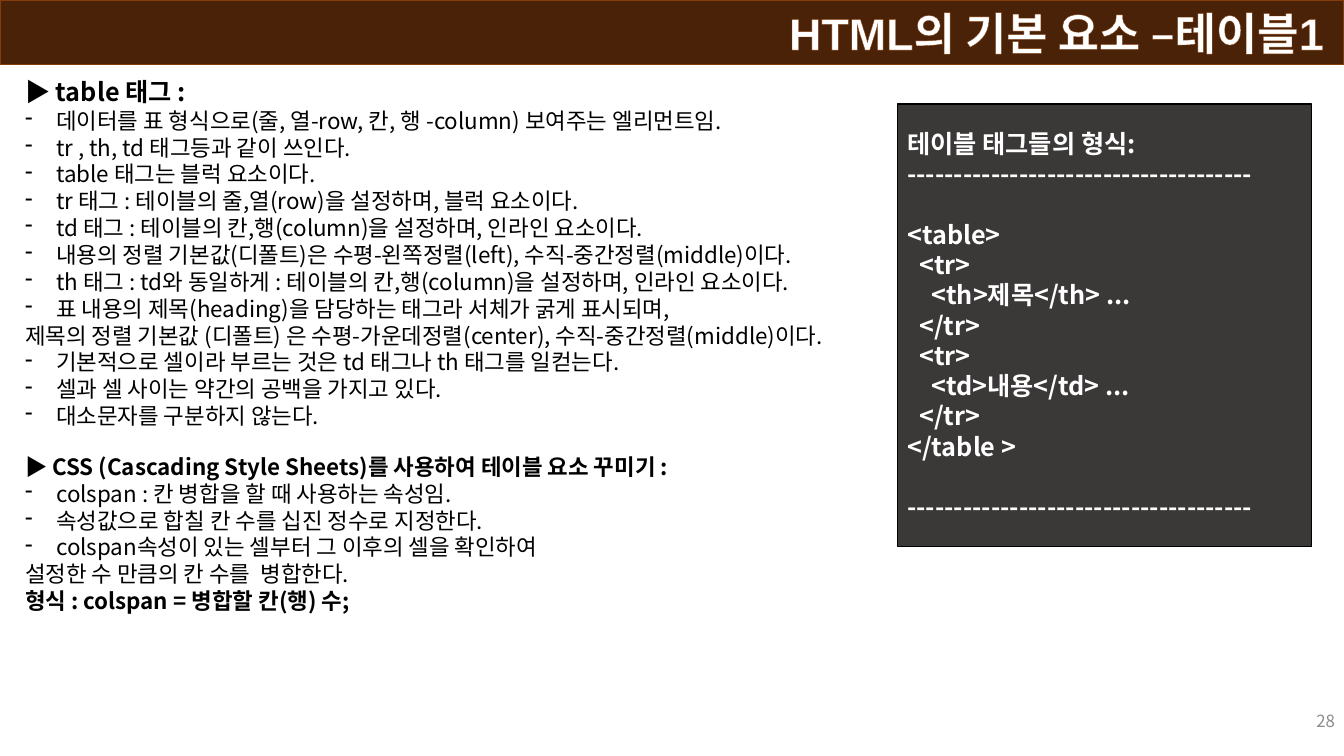
from lxml import etree
from pptx import Presentation
from pptx.dml.color import RGBColor
from pptx.enum.shapes import MSO_SHAPE
from pptx.enum.text import MSO_ANCHOR, MSO_AUTO_SIZE, PP_ALIGN
from pptx.oxml.ns import qn
from pptx.util import Inches, Pt

RECT = MSO_SHAPE.RECTANGLE
TOP, MID = MSO_ANCHOR.TOP, MSO_ANCHOR.MIDDLE
LEFT, RIGHT = PP_ALIGN.LEFT, PP_ALIGN.RIGHT
FIXED = MSO_AUTO_SIZE.NONE
SANS = "Noto Sans CJK KR"
COLORS = {"bar": "492207", "edge": "843C0B", "panel": "3B3838",
          "white": "FFFFFF", "black": "000000", "gray": "8C8C8C"}

TAGS = [
    "데이터를 표 형식으로(줄, 열-row, 칸, 행 -column) 보여주는 엘리먼트임.",
    "tr , th, td 태그등과 같이 쓰인다.",
    "table 태그는 블럭 요소이다.",
    "tr 태그 : 테이블의 줄,열(row)을 설정하며, 블럭 요소이다.",
    "td 태그 : 테이블의 칸,행(column)을 설정하며, 인라인 요소이다.",
    "내용의 정렬 기본값(디폴트)은 수평-왼쪽정렬(left), 수직-중간정렬(middle)이다.",
    "th 태그 : td와 동일하게 : 테이블의 칸,행(column)을 설정하며, 인라인 요소이다.",
    "표 내용의 제목(heading)을 담당하는 태그라 서체가 굵게 표시되며,",
]
CELLS = [
    "기본적으로 셀이라 부르는 것은 td 태그나 th 태그를 일컫는다.",
    "셀과 셀 사이는 약간의 공백을 가지고 있다.",
    "대소문자를 구분하지 않는다.",
]
SPANS = [
    "colspan : 칸 병합을 할 때 사용하는 속성임.",
    "속성값으로 합칠 칸 수를 십진 정수로 지정한다.",
    "colspan속성이 있는 셀부터 그 이후의 셀을 확인하여",
]


def bullets(texts):
    return [("item", text) for text in texts]


# Kind and text of each line in the notes
NOTES = [
    ("head", "▶ table 태그 :"), *bullets(TAGS),
    ("plain", "제목의 정렬 기본값 (디폴트) 은 수평-가운데정렬(center), 수직-중간정렬(middle)이다."),
    *bullets(CELLS),
    ("sub", "▶ CSS (Cascading Style Sheets)를 사용하여 테이블 요소 꾸미기 :"),
    *bullets(SPANS),
    ("plain", "설정한 수 만큼의 칸 수를  병합한다."),
    ("bold", "형식 : colspan = 병합할 칸(행) 수;"),
]
RULE = "-" * 37
# Depth, space before in points, and text of each line of code
CODE = [
    (0, 0, "테이블 태그들의 형식:"), (0, 0, RULE),
    (0, 21.6, "<table>"),
    (1, 0, "<tr>"), (2, 0, "<th>제목</th> ..."), (1, 0, "</tr>"),
    (1, 0, "<tr>"), (2, 0, "<td>내용</td> ..."), (1, 0, "</tr>"),
    (0, 0, "</table >"), (0, 21.6, RULE),
]


def rgb(name):
    return RGBColor.from_string(COLORS[name])


def place(shape, box):
    shape.left, shape.top, shape.width, shape.height = map(Inches, box)


def paint(shape, fill, line=None, width=1):
    shape.fill.solid()
    shape.fill.fore_color.rgb = rgb(fill)
    if line:
        shape.line.color.rgb = rgb(line)
        shape.line.width = Pt(width)
    else:
        shape.line.fill.background()


def panel(slide, box, fill, line=None):
    shape = slide.shapes.add_shape(RECT, *map(Inches, box))
    shape.shadow.inherit = False
    paint(shape, fill, line)
    return shape


def setup(frame, anchor):
    frame.word_wrap = True
    frame.auto_size = FIXED
    frame.vertical_anchor = anchor


def style(para, size, color, bold=False, align=LEFT, face=SANS):
    para.alignment = align
    for run in para.runs:
        font = run.font
        font.size, font.bold, font.name = Pt(size), bold, face
        font.color.rgb = rgb(color)
        # East Asian typeface
        props = run._r.get_or_add_rPr()
        etree.SubElement(props, qn("a:ea"), typeface=SANS)


def indent(para, left, hang=0):
    props = para._p.get_or_add_pPr()
    props.set("marL", str(Inches(left)))
    props.set("indent", str(-Inches(hang)))
    return props


def write(frame, texts):
    frame.text = "\n".join(texts)
    return frame.paragraphs


def header(slide, box):
    title = slide.shapes.title
    place(title, box)
    paint(title, "bar", "edge", 0.75)
    frame = title.text_frame
    setup(frame, MID)
    frame.margin_right = Inches(0.2)
    para = write(frame, ["HTML의 기본 요소 –테이블1"])[0]
    style(para, 32, "white", True, RIGHT, "Arial")
    # Outline of the letters
    line = etree.Element(qn("a:ln"), w=str(Pt(0.75)))
    fill = etree.SubElement(line, qn("a:solidFill"))
    etree.SubElement(fill, qn("a:srgbClr"), val=COLORS["edge"])
    para.runs[0]._r.get_or_add_rPr().insert(0, line)


def number(slide, box):
    frame = slide.shapes.add_textbox(*map(Inches, box)).text_frame
    setup(frame, MID)
    style(write(frame, ["28"])[0], 12, "gray", align=RIGHT)


def notes(slide, box):
    frame = panel(slide, box, "white").text_frame
    setup(frame, TOP)
    paras = write(frame, [text for _, text in NOTES])
    for para, (kind, _) in zip(paras, NOTES):
        size = 18 if kind == "head" else 16
        style(para, size, "black", kind in ("head", "sub", "bold"))
        if kind == "sub":
            para.space_before = Pt(17)
        if kind == "item":
            props = indent(para, 0.31, 0.31)
            etree.SubElement(props, qn("a:buFontTx"))
            etree.SubElement(props, qn("a:buChar"), char="-")


def code(slide, box):
    frame = panel(slide, box, "panel", "black").text_frame
    setup(frame, MID)
    paras = write(frame, [text for _, _, text in CODE])
    for para, (depth, gap, _) in zip(paras, CODE):
        style(para, 18, "white", True)
        indent(para, 0.12 * depth)
        para.space_before = Pt(gap)


def main():
    deck = Presentation()
    deck.slide_width, deck.slide_height = Inches(13.33), Inches(7.5)
    slide = deck.slides.add_slide(deck.slide_layouts[5])
    header(slide, (0, 0, 13.33, 0.64))
    number(slide, (10.34, 6.95, 3, 0.4))
    notes(slide, (0.15, 0.71, 13.04, 5.72))
    code(slide, (8.9, 1.03, 4.11, 4.39))
    deck.save("out.pptx")


if __name__ == "__main__":
    main()
